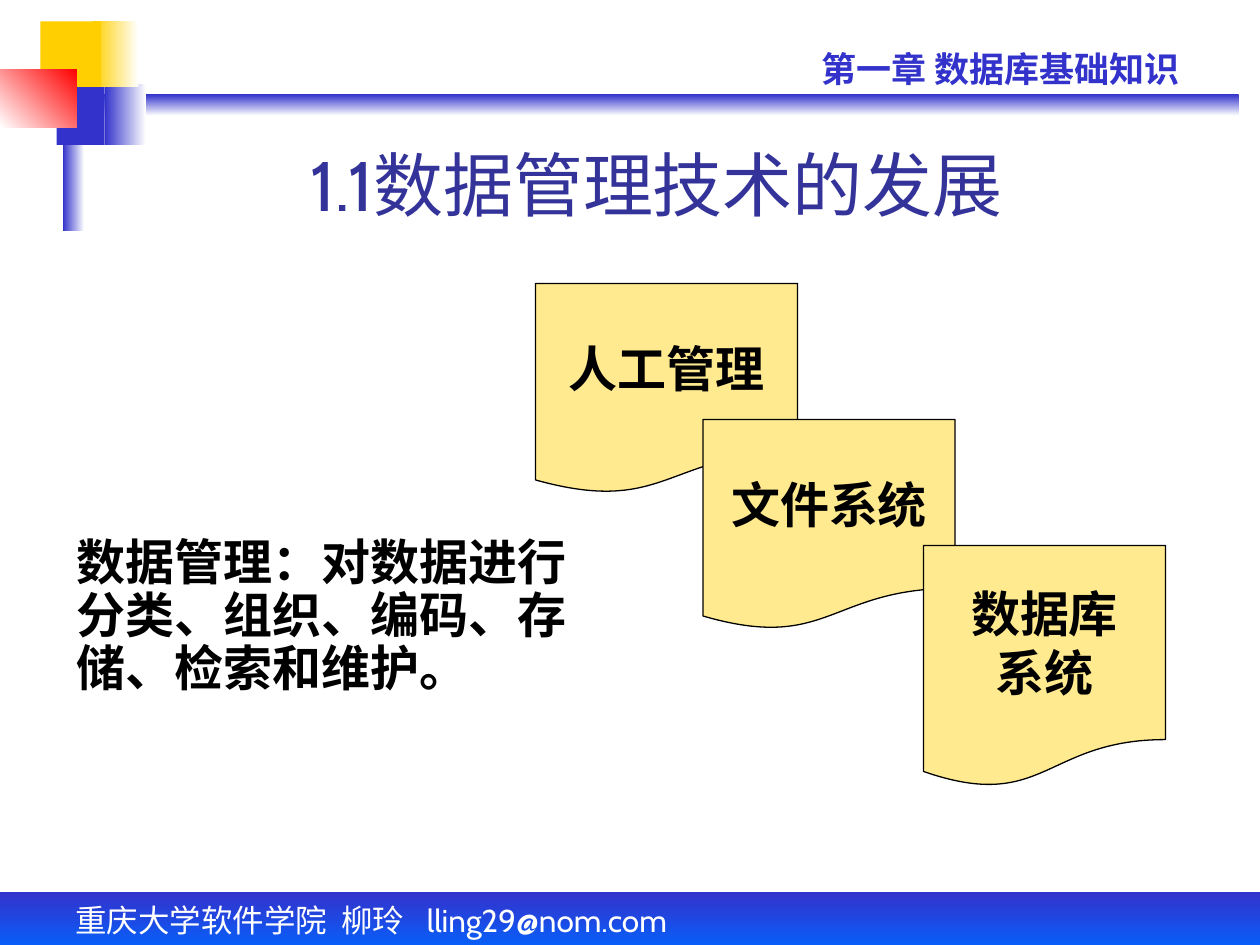
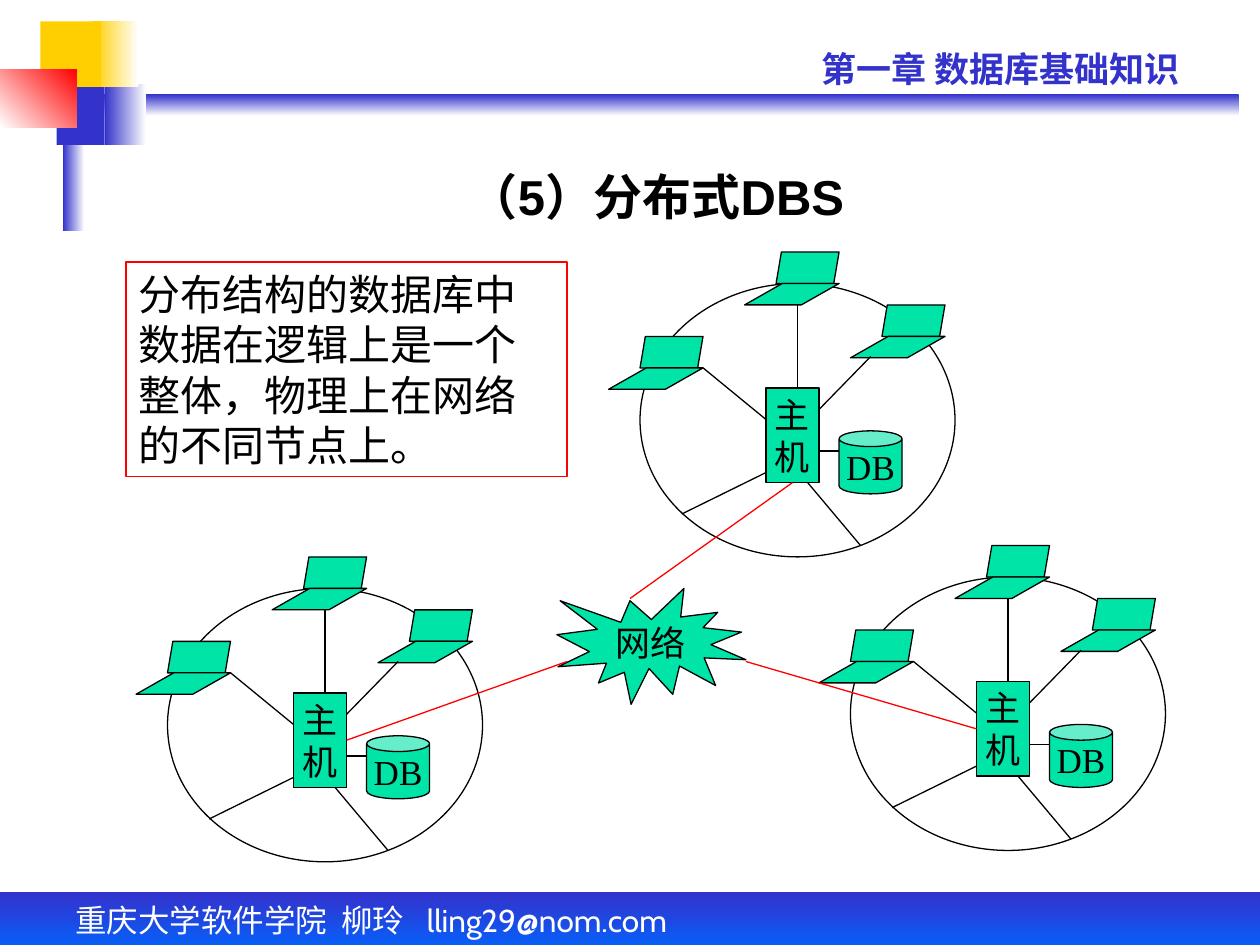
from lxml.etree import SubElement
from pptx import Presentation
from pptx.dml.color import RGBColor
from pptx.enum.shapes import MSO_CONNECTOR, MSO_SHAPE as SHAPE
from pptx.enum.text import MSO_ANCHOR as ANCHOR, MSO_AUTO_SIZE, PP_ALIGN as ALIGN
from pptx.oxml.ns import qn
from pptx.util import Inches, Pt

COLORS = {
    "blue": "3333CC", "bright": "0066FF", "navy": "333399", "yellow": "FFCF01",
    "red": "FF0000", "white": "FFFFFF", "black": "000000",
    "paper": "FFEA8F", "green": "00E4A8",
}

BANDS = [
    ((0.58, 0.75, 9.25, 0.17), ("blue", "white", 90)),
    ((0.83, 0.67, 0.33, 0.48), ("white", "blue", 180)),
    ((0, 7.08, 10, 0.5), ("blue", "bright", 90)),
    ((0.5, 0.58, 0.17, 1.25), ("white", "blue", 180)),
    ((0.45, 0.67, 0.38, 0.48), "blue"),
    ((0.74, 0.17, 0.36, 0.52), ("white", "yellow", 180)),
    ((0.32, 0.17, 0.48, 0.52), "yellow"),
    ((0, 0.55, 0.61, 0.46), ("red", "white", 135)),
]
FOOTER = "重庆大学软件学院\t柳玲\tlling29@nom.com"
FOOTER_TABS = (2.11, 2.79)
CHAPTER = "第一章 数据库基础知识"

TITLE_BOX = (1.25, 1.17, 7.92, 0.67)
HISTORY_TITLE = "1.1数据管理技术的发展"
STAGES = [
    ("人工管理", (4.25, 2.25, 2.08, 1.67)),
    ("文件系统", (5.58, 3.33, 2, 1.67)),
    ("数据库\n系统", (7.33, 4.33, 1.92, 1.92)),
]
DEFINITION = "数据管理：对数据进行分类、组织、编码、存储、检索和维护。"

DISTRIBUTED_TITLE = "（5）分布式DBS"
EXPLANATION = "分布结构的数据库中数据在逻辑上是一个整体，物理上在网络的不同节点上。"
SITES = [
    ((6.75, 4.33), 1, (5.92, 5.25)),
    ((5.08, 2), 2, (5, 4.75)),
    ((1.33, 4.42), 3, (4.5, 5.25)),
]
LAPTOPS = [(1.08, 0), (1.92, 0.42), (0, 0.67)]
SITE_LINES = [
    ((0.5, 0.92), (1, 1.33)),
    ((1.25, 0.42), (1.25, 1.08)),
    ((1.83, 0.83), (1.42, 1.25)),
    ((1.42, 1.58), (1.58, 1.58)),
    ((1, 1.75), (0.33, 2.08)),
    ((1.33, 1.83), (1.75, 2.33)),
]


def rgb(name):
    return RGBColor.from_string(COLORS[name])


def paint(fill, color):
    if color is None:
        fill.background()
    elif isinstance(color, tuple):
        start, end, angle = color
        fill.gradient()
        fill.gradient_angle = 360 - angle
        for stop, name in zip(fill.gradient_stops, (start, end)):
            stop.color.rgb = rgb(name)
    else:
        fill.solid()
        fill.fore_color.rgb = rgb(color)


def add_shape(shapes, kind, box, fill=None, line="black", adjust=None):
    shape = shapes.add_shape(kind, *map(Inches, box))
    shape.shadow.inherit = False
    paint(shape.fill, fill)
    if line:
        shape.line.color.rgb = rgb(line)
        shape.line.width = Pt(0.75)
    else:
        shape.line.fill.background()
    if adjust is not None:
        shape.adjustments[0] = adjust
    return shape


def write(shape, text, size, font, color="black", bold=False,
          align=ALIGN.CENTER, anchor=ANCHOR.MIDDLE, wrap=False):
    frame = shape.text_frame
    frame.text = text
    frame.word_wrap = wrap
    frame.auto_size = MSO_AUTO_SIZE.NONE
    frame.vertical_anchor = anchor
    for paragraph in frame.paragraphs:
        paragraph.alignment = align
        for run in paragraph.runs:
            run.font.size = Pt(size)
            run.font.name = font
            run.font.bold = bold
            run.font.color.rgb = rgb(color)


def add_text(shapes, box, text, size, font, color="black", bold=False):
    text_box = shapes.add_textbox(*map(Inches, box))
    write(text_box, text, size, font, color, bold, ALIGN.LEFT, ANCHOR.TOP, True)
    return text_box


def add_line(shapes, start, end, color="black"):
    line = shapes.add_connector(MSO_CONNECTOR.STRAIGHT, *map(Inches, (*start, *end)))
    line.line.color.rgb = rgb(color)
    line.line.width = Pt(0.75)
    SubElement(line.element.spPr, qn("a:effectLst"))
    return line


def add_slide(presentation, layout, title, size, font, color, bold):
    slide = presentation.slides.add_slide(layout)
    shape = slide.shapes.title
    shape.left, shape.top, shape.width, shape.height = map(Inches, TITLE_BOX)
    write(shape, title, size, font, color, bold, anchor=ANCHOR.BOTTOM, wrap=True)
    return slide


def furnish_layout(layout, slide):
    for placeholder in list(layout.placeholders)[1:]:
        placeholder.element.getparent().remove(placeholder.element)
    shared = [add_shape(slide.shapes, SHAPE.RECTANGLE, box, fill, None) for box, fill in BANDS]
    footer = add_text(slide.shapes, (0.5, 7.1, 7.33, 0.46), FOOTER, 18, "Cabin", "white")
    properties = footer.text_frame.paragraphs[0]._p.get_or_add_pPr()
    tabs = SubElement(properties, qn("a:tabLst"))
    for position in FOOTER_TABS:
        SubElement(tabs, qn("a:tab"), pos=str(Inches(position)), algn="l")
    chapter = add_text(slide.shapes, (6.42, 0.33, 3.42, 0.44), CHAPTER, 20, "Cabin", "blue", True)
    for shape in (*shared, footer, chapter):
        layout.shapes.element.append(shape.element)


def fill_history(slide):
    for name, box in STAGES:
        stage = add_shape(slide.shapes, SHAPE.FLOWCHART_DOCUMENT, box, "paper")
        write(stage, name, 28, "Times New Roman", bold=True)
    definition = add_text(slide.shapes, (0.51, 4.22, 4.41, 1.36), DEFINITION, 28, "Arial", bold=True)
    definition.text_frame.paragraphs[0].line_spacing = 0.9


def add_site(slide, left, top):
    shapes = slide.shapes.add_group_shape().shapes

    def part(kind, x, y, width, height, fill="green", adjust=None):
        return add_shape(shapes, kind, (left + x, top + y, width, height), fill, adjust=adjust)

    part(SHAPE.OVAL, 0, 0.25, 2.5, 2.17, None)
    for x, y in LAPTOPS:
        part(SHAPE.PARALLELOGRAM, x, y, 0.5, 0.25, adjust=0.17)
        part(SHAPE.PARALLELOGRAM, x - 0.25, y + 0.25, 0.75, 0.17, adjust=1.76)
    host = part(SHAPE.RECTANGLE, 1, 1.08, 0.42, 0.75)
    write(host, "主\n机", 20, "Times New Roman")
    database = part(SHAPE.CAN, 1.58, 1.42, 0.5, 0.5, adjust=0.25)
    write(database, "DB", 20, "Times New Roman")
    for (x1, y1), (x2, y2) in SITE_LINES:
        add_line(shapes, (left + x1, top + y1), (left + x2, top + y2))
    return host


def fill_distributed(slide):
    hosts = [add_site(slide, *origin) for origin, _, _ in SITES]
    network = add_shape(slide.shapes, SHAPE.EXPLOSION1, (4.42, 4.67, 1.5, 0.92), "green")
    write(network, "网络", 20, "Times New Roman")
    for host, (origin, side, network_end) in zip(hosts, SITES):
        link = add_line(slide.shapes, origin, network_end, "red")
        link.begin_connect(host, side)
    note = add_shape(slide.shapes, SHAPE.RECTANGLE, (1, 2.08, 3.5, 1.7), None, "red")
    write(note, EXPLANATION, 24, "Times New Roman", align=ALIGN.LEFT, anchor=ANCHOR.TOP, wrap=True)


def main():
    presentation = Presentation()
    presentation.slide_width, presentation.slide_height = Inches(10), Inches(7.5)
    layout = presentation.slide_layouts[5]
    history = add_slide(presentation, layout, HISTORY_TITLE, 40, "Cabin", "navy", False)
    furnish_layout(layout, history)
    fill_history(history)
    distributed = add_slide(presentation, layout, DISTRIBUTED_TITLE, 28, "Arial", "black", True)
    fill_distributed(distributed)
    presentation.save("out.pptx")


if __name__ == "__main__":
    main()
